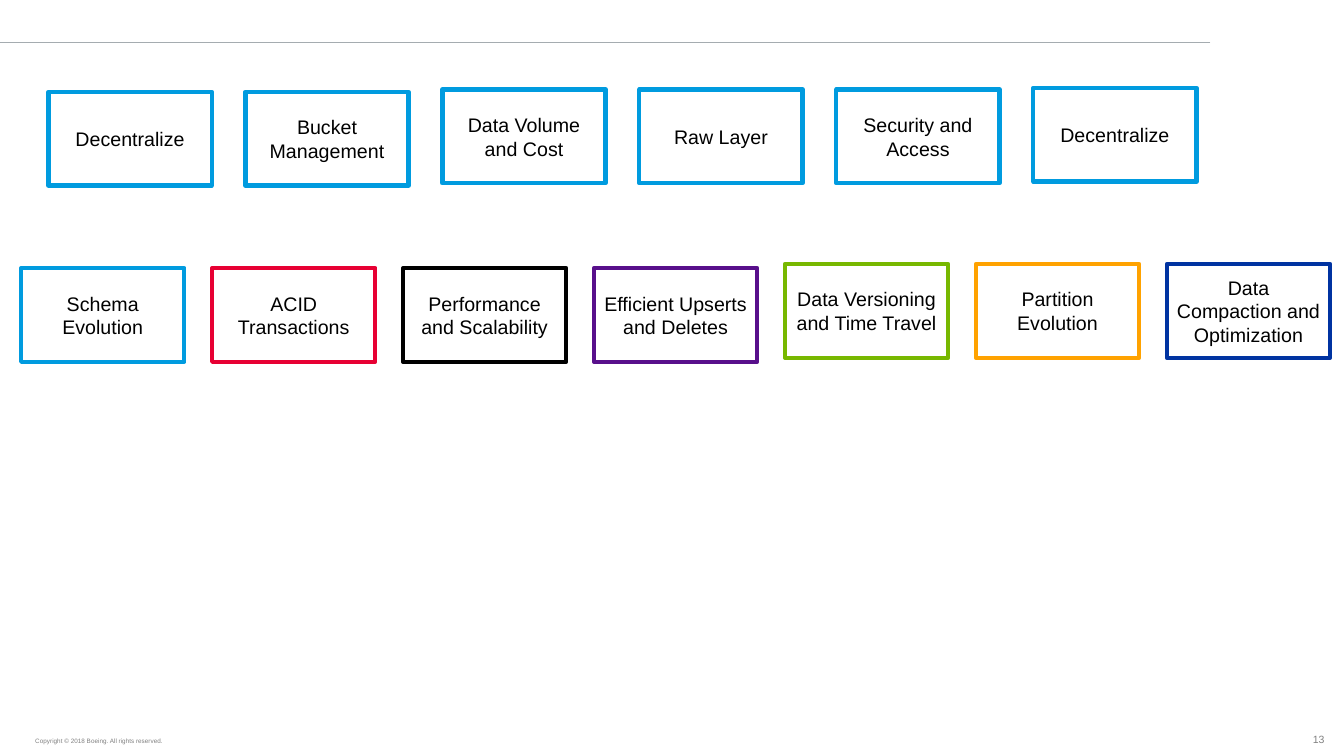
from lxml import etree
from pptx import Presentation
from pptx.dml.color import RGBColor
from pptx.enum.shapes import MSO_CONNECTOR, MSO_SHAPE
from pptx.enum.text import MSO_ANCHOR, PP_ALIGN
from pptx.oxml.ns import qn
from pptx.util import Pt

STRAIGHT = MSO_CONNECTOR.STRAIGHT
RECTANGLE = MSO_SHAPE.RECTANGLE
MIDDLE, BOTTOM = MSO_ANCHOR.MIDDLE, MSO_ANCHOR.BOTTOM
LEFT, CENTER, RIGHT = PP_ALIGN.LEFT, PP_ALIGN.CENTER, PP_ALIGN.RIGHT

FONT = "Arial"
COLORS = {
    "white": "FFFFFF", "black": "000000", "rule": "A5ACB0", "footer": "808080",
    "sky": "009BDF", "red": "E70033", "purple": "580F8B",
    "green": "77B800", "orange": "FFA200", "navy": "0033A1",
}

# Each box: label, outline colour, top
CHALLENGES = [
    ("Decentralize", "sky", 65.5),
    ("Bucket Management", "sky", 65.5),
    ("Data Volume and Cost", "sky", 64),
    ("Raw Layer", "sky", 64),
    ("Security and Access", "sky", 64),
    ("Decentralize", "sky", 62.7),
]
FEATURES = [
    ("Schema Evolution", "sky", 191.5),
    ("ACID Transactions", "red", 191.5),
    ("Performance and Scalability", "black", 191.5),
    ("Efficient Upserts and Deletes", "purple", 191.5),
    ("Data Versioning and Time Travel", "green", 188.6),
    ("Partition Evolution", "orange", 188.6),
    ("Data Compaction and Optimization", "navy", 188.6),
]
# Each row: left edge, step between boxes, boxes
ROWS = [(34.6, 140.7, CHALLENGES), (15.1, 136.4, FEATURES)]
BOX_W, BOX_H = 116.6, 67

# Each footer: text, left, top, width, height, size, alignment
FOOTERS = [
    ("Copyright © 2018 Boeing. All rights reserved.", 24.5, 526.3, 162.7, 6.5, 4.5, LEFT),
    ("13", 806.4, 514, 140.4, 19.5, 7.5, RIGHT),
]


def rgb(name):
    return RGBColor.from_string(COLORS[name])


def set_text(sp, text, size, color, align, anchor, inset_x, inset_y):
    tf = sp.text_frame
    tf.text = text
    tf.word_wrap = True
    tf.vertical_anchor = anchor
    tf.margin_left = tf.margin_right = Pt(inset_x)
    tf.margin_top = tf.margin_bottom = Pt(inset_y)
    p = tf.paragraphs[0]
    p.alignment = align
    font = p.runs[0].font
    font.name, font.size, font.color.rgb = FONT, Pt(size), rgb(color)


def add_box(slide, label, color, left, top):
    sp = slide.shapes.add_shape(RECTANGLE, Pt(left), Pt(top), Pt(BOX_W), Pt(BOX_H))
    sp.shadow.inherit = False
    sp.fill.solid()
    sp.fill.fore_color.rgb = rgb("white")
    sp.line.color.rgb = rgb(color)
    sp.line.width = Pt(3)
    set_text(sp, label, 14, "black", CENTER, MIDDLE, 7, 3.6)


def add_rule(slide):
    line = slide.shapes.add_connector(STRAIGHT, Pt(864.5), Pt(30.3), Pt(0), Pt(30.3))
    line.line.color.rgb = rgb("rule")
    line.line.width = Pt(0.75)
    etree.SubElement(line._element.spPr, qn("a:effectLst"))


def main():
    prs = Presentation()
    prs.slide_width, prs.slide_height = Pt(960), Pt(540)
    slide = prs.slides.add_slide(prs.slide_layouts[6])

    add_rule(slide)
    for text, left, top, width, height, size, align in FOOTERS:
        sp = slide.shapes.add_textbox(Pt(left), Pt(top), Pt(width), Pt(height))
        set_text(sp, text, size, "footer", align, BOTTOM, 0.72, 0.72)
    for row_left, step, boxes in ROWS:
        for i, (label, color, top) in enumerate(boxes):
            add_box(slide, label, color, row_left + i * step, top)

    prs.save("out.pptx")


if __name__ == "__main__":
    main()
